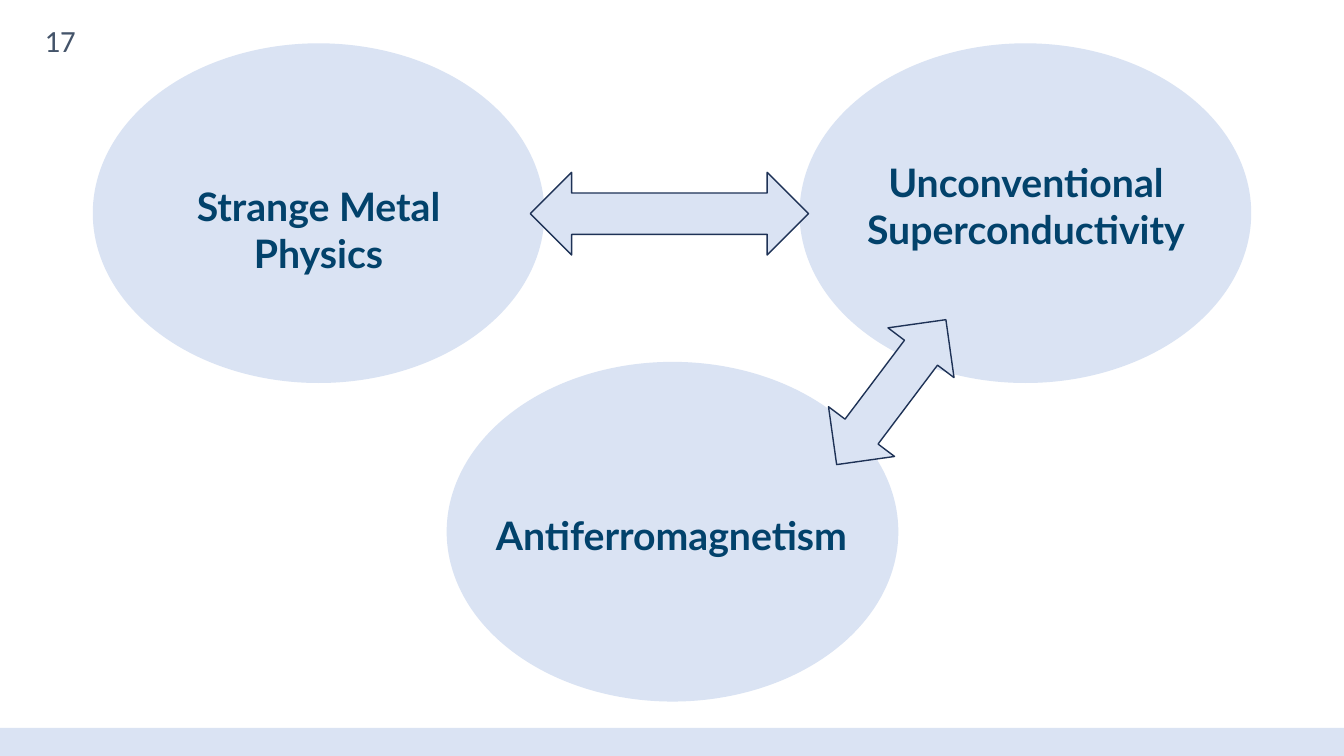
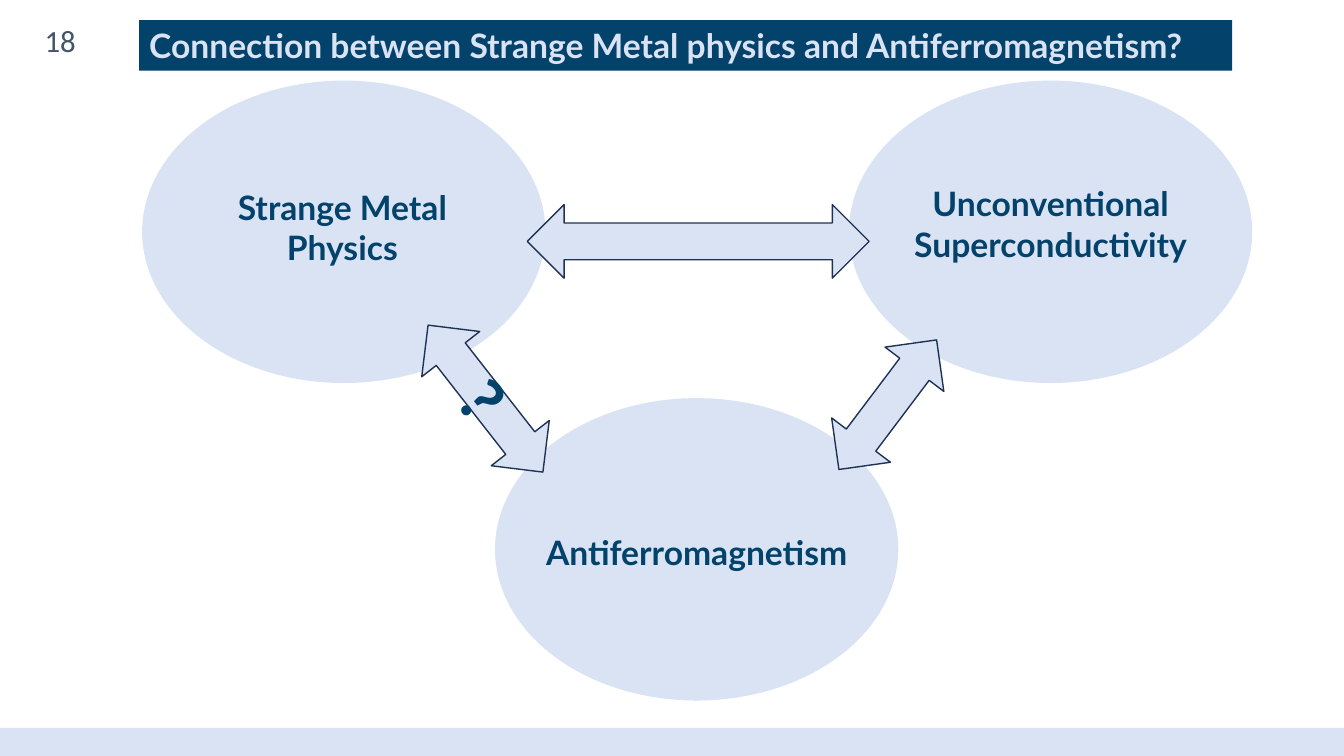
from pptx import Presentation
from pptx.dml.color import RGBColor
from pptx.enum.shapes import MSO_SHAPE
from pptx.enum.text import MSO_ANCHOR, PP_ALIGN
from pptx.util import Pt

PX = 9144
WIDTH, HEIGHT = 1333, 750
TITLE_ONLY, BLANK = 5, 6
RECT, OVAL, ARROW = MSO_SHAPE.RECTANGLE, MSO_SHAPE.OVAL, MSO_SHAPE.LEFT_RIGHT_ARROW
TOP, MIDDLE = MSO_ANCHOR.TOP, MSO_ANCHOR.MIDDLE
LEFT, CENTER, RIGHT = PP_ALIGN.LEFT, PP_ALIGN.CENTER, PP_ALIGN.RIGHT

PALE = RGBColor(0xDA, 0xE3, 0xF3)
NAVY = RGBColor(0x02, 0x42, 0x6B)
OUTLINE = RGBColor(0x1E, 0x32, 0x56)
SLATE = RGBColor(0x44, 0x54, 0x6A)
HEADING_FONT, BODY_FONT = "Lato", "Calibri"

METAL = "Strange Metal Physics"
SUPER = "Unconventional Superconductivity"
ANTIFERRO = "Antiferromagnetism"


def emu(*lengths):
    return [n * PX for n in lengths]


def write(sp, text, size, font=HEADING_FONT, color=NAVY, bold=True, align=CENTER, anchor=TOP):
    tf = sp.text_frame
    tf.word_wrap = True
    tf.vertical_anchor = anchor
    p = tf.paragraphs[0]
    p.text = text
    p.alignment = align
    p.font.name = font
    p.font.size = Pt(size)
    p.font.bold = bold
    p.font.color.rgb = color
    return p


def add_shape(shapes, kind, box, line=None):
    sp = shapes.add_shape(kind, *emu(*box))
    sp.shadow.inherit = False
    sp.fill.solid()
    sp.fill.fore_color.rgb = PALE
    if line is None:
        sp.line.fill.background()
    else:
        sp.line.color.rgb = line
        sp.line.width = Pt(1)
    return sp


def add_topic(s, text, size, oval_box, text_box):
    group = s.shapes.add_group_shape()
    add_shape(group.shapes, OVAL, oval_box)
    write(group.shapes.add_textbox(*emu(*text_box)), text, size)


def add_arrow(s, box, rotation=0):
    sp = add_shape(s.shapes, ARROW, box, OUTLINE)
    sp.rotation = rotation
    return sp


def add_title(s, text):
    title = s.shapes.title
    title.left, title.top, title.width, title.height = emu(138, 20, 1084, 50)
    title.fill.solid()
    title.fill.fore_color.rgb = NAVY
    write(title, text, 24, color=PALE, align=LEFT)


def add_slide(prs, layout, number):
    s = prs.slides.add_slide(prs.slide_layouts[layout])
    add_shape(s.shapes, RECT, (0, 722, WIDTH, HEIGHT - 722))
    p = write(s.shapes.add_textbox(*emu(0, 0, 85, 80)), number, 22, BODY_FONT,
              SLATE, False, RIGHT, MIDDLE)
    p.space_after = Pt(6)
    return s


def add_known_links(prs):
    s = add_slide(prs, BLANK, "17")
    oval = (448, 337)
    add_topic(s, SUPER, 28, (793, 43, *oval), (838, 152, 359, 165))
    add_topic(s, METAL, 28, (92, 43, *oval), (126, 176, 380, 165))
    add_arrow(s, (526, 171, 276, 82))
    add_topic(s, ANTIFERRO, 28, (443, 359, *oval), (478, 502, 376, 57))
    add_arrow(s, (794, 348, 180, 82), 307)


def add_open_question(prs):
    s = add_slide(prs, TITLE_ONLY, "18")
    add_title(s, "Connection between Strange Metal physics and Antiferromagnetism?")
    oval = (400, 300)
    add_topic(s, SUPER, 24, (842, 80, *oval), (882, 177, 320, 151))
    add_topic(s, METAL, 24, (141, 80, *oval), (170, 180, 339, 151))
    add_arrow(s, (523, 203, 339, 73))
    add_topic(s, ANTIFERRO, 24, (491, 395, *oval), (523, 523, 336, 51))
    add_arrow(s, (800, 365, 161, 73), 307)
    unknown = add_arrow(s, (389, 359, 185, 73), 52)
    write(unknown, "?", 48, BODY_FONT, anchor=MIDDLE)


def main():
    prs = Presentation()
    prs.slide_width, prs.slide_height = emu(WIDTH, HEIGHT)
    add_known_links(prs)
    add_open_question(prs)
    prs.save("out.pptx")


if __name__ == "__main__":
    main()
